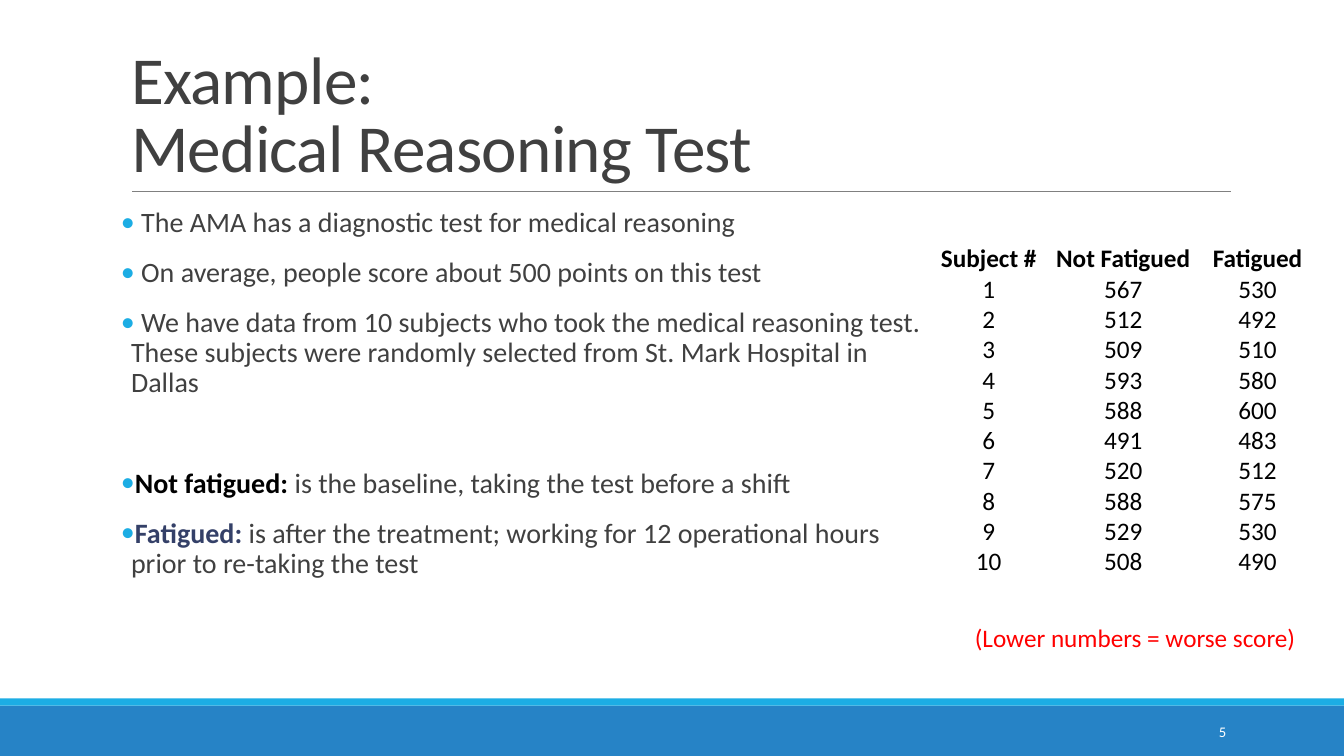
from lxml import etree
from pptx import Presentation
from pptx.dml.color import RGBColor
from pptx.enum.shapes import MSO_CONNECTOR, MSO_SHAPE
from pptx.enum.text import MSO_ANCHOR as Anchor, MSO_AUTO_SIZE as AutoSize, PP_ALIGN as Align
from pptx.oxml.ns import qn
from pptx.util import Inches, Pt


class Theme:
    font = "Calibri"
    text = RGBColor.from_string("404040")
    black = RGBColor.from_string("000000")
    white = RGBColor.from_string("FFFFFF")
    red = RGBColor.from_string("FF0000")
    navy = RGBColor.from_string("344068")
    blue = RGBColor.from_string("2683C6")
    cyan = RGBColor.from_string("1CADE4")
    rule = RGBColor.from_string("808080")
    title_size = Pt(48)
    body_size = Pt(20)
    table_size = Pt(18)
    number_size = Pt(10.5)


def set_font(para, size, color, bold=False):
    para.font.name = Theme.font
    para.font.size = size
    para.font.color.rgb = color
    para.font.bold = bold


def add_bullet(para):
    props = para._p.get_or_add_pPr()
    props.set("marL", str(Inches(0.1)))
    props.set("indent", str(Inches(-0.1)))
    color = etree.SubElement(props, qn("a:buClr"))
    etree.SubElement(color, qn("a:srgbClr"), val=str(Theme.cyan))
    etree.SubElement(props, qn("a:buFont"), typeface=Theme.font)
    etree.SubElement(props, qn("a:buChar"), char="•")


deck = Presentation()
deck.slide_width, deck.slide_height = Inches(13.33), Inches(7.5)
page = deck.slides.add_slide(deck.slide_layouts[5])

# Footer bands and the rule under the title
for top, height, color in [(7, 0.5, Theme.blue), (6.93, 0.07, Theme.cyan)]:
    band = page.shapes.add_shape(
        MSO_SHAPE.RECTANGLE, 0, Inches(top), deck.slide_width, Inches(height))
    band.shadow.inherit = False
    band.fill.solid()
    band.fill.fore_color.rgb = color
    band.line.fill.background()

rule = page.shapes.add_connector(
    MSO_CONNECTOR.STRAIGHT, Inches(1.31), Inches(1.9), Inches(12.21), Inches(1.9))
rule.line.color.rgb = Theme.rule
rule.line.width = Pt(0.5)
etree.SubElement(rule._element.spPr, qn("a:effectLst"))

# Title
title = page.shapes.title
title.left, title.top, title.width, title.height = map(Inches, (1.2, 0.31, 11, 1.59))
frame = title.text_frame
frame.text = "Example:\vMedical Reasoning Test"
frame.auto_size = AutoSize.NONE
frame.vertical_anchor = Anchor.BOTTOM
para = frame.paragraphs[0]
para.alignment = Align.LEFT
para.line_spacing = 0.85
set_font(para, Theme.title_size, Theme.text)
para.font._element.set("spc", "-50")

# Bullets: space before, bold lead-in, its colour, running text
bullets = [
    (0, "", None, " The AMA has a diagnostic test for medical reasoning"),
    (12, "", None, " On average, people score about 500 points on this test"),
    (12, "", None, " We have data from 10 subjects who took the medical reasoning test. "
                   "These subjects were randomly selected from St. Mark Hospital in Dallas"),
    (48, "Not fatigued: ", Theme.black, "is the baseline, taking the test before a shift"),
    (12, "Fatigued: ", Theme.navy, "is after the treatment; working for 12 operational "
                                   "hours prior to re-taking the test"),
]
body = page.shapes.add_textbox(Inches(1.2), Inches(2.02), Inches(8.1), Inches(4.4))
frame = body.text_frame
frame.word_wrap = True
frame.margin_left = frame.margin_right = 0
for index, (gap, lead, lead_color, text) in enumerate(bullets):
    para = frame.add_paragraph() if index else frame.paragraphs[0]
    add_bullet(para)
    para.line_spacing = 0.9
    para.space_before, para.space_after = Pt(gap), Pt(2)
    set_font(para, Theme.body_size, Theme.text)
    if lead:
        span = para.add_run()
        span.text = lead
        span.font.bold = True
        span.font.color.rgb = lead_color
    para.add_run().text = text

# Scores
not_fatigued = [567, 512, 509, 593, 588, 491, 520, 588, 529, 508]
fatigued = [530, 492, 510, 580, 600, 483, 512, 575, 530, 490]
rows = [("Subject #", "Not Fatigued", "Fatigued"),
        *zip(range(1, 11), not_fatigued, fatigued)]
scores = page.shapes.add_table(
    len(rows), 3, Inches(9.14), Inches(2.42), Inches(4), Inches(3.3)).table
scores.first_row = scores.horz_banding = False
for row_index, row in enumerate(rows):
    for column_index, value in enumerate(row):
        cell = scores.cell(row_index, column_index)
        cell.fill.background()
        cell.vertical_anchor = Anchor.BOTTOM
        cell.margin_left = cell.margin_right = cell.margin_top = cell.margin_bottom = 0
        cell.text = str(value)
        para = cell.text_frame.paragraphs[0]
        para.alignment = Align.CENTER
        set_font(para, Theme.table_size, Theme.black, bold=row_index == 0)

# Score note and page number
labels = [
    ("(Lower numbers = worse score)", (9.57, 6.12, 3.42, 0.4),
     Theme.table_size, Theme.red, Align.LEFT, Anchor.TOP),
    ("5", (10.83, 7.06, 1.43, 0.4),
     Theme.number_size, Theme.white, Align.RIGHT, Anchor.MIDDLE),
]
for text, place, size, color, align, anchor in labels:
    box = page.shapes.add_textbox(*map(Inches, place))
    frame = box.text_frame
    frame.word_wrap = True
    frame.vertical_anchor = anchor
    frame.text = text
    para = frame.paragraphs[0]
    para.alignment = align
    set_font(para, size, color)

deck.save("out.pptx")
